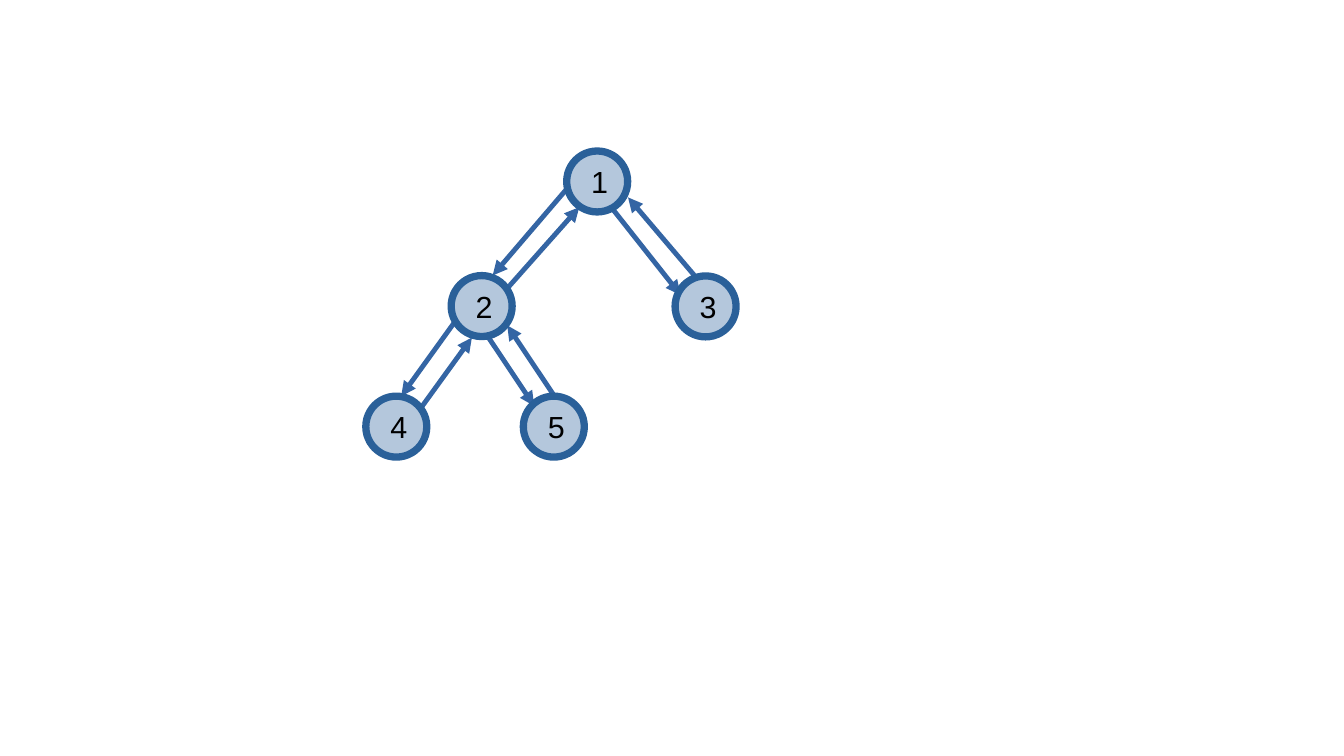
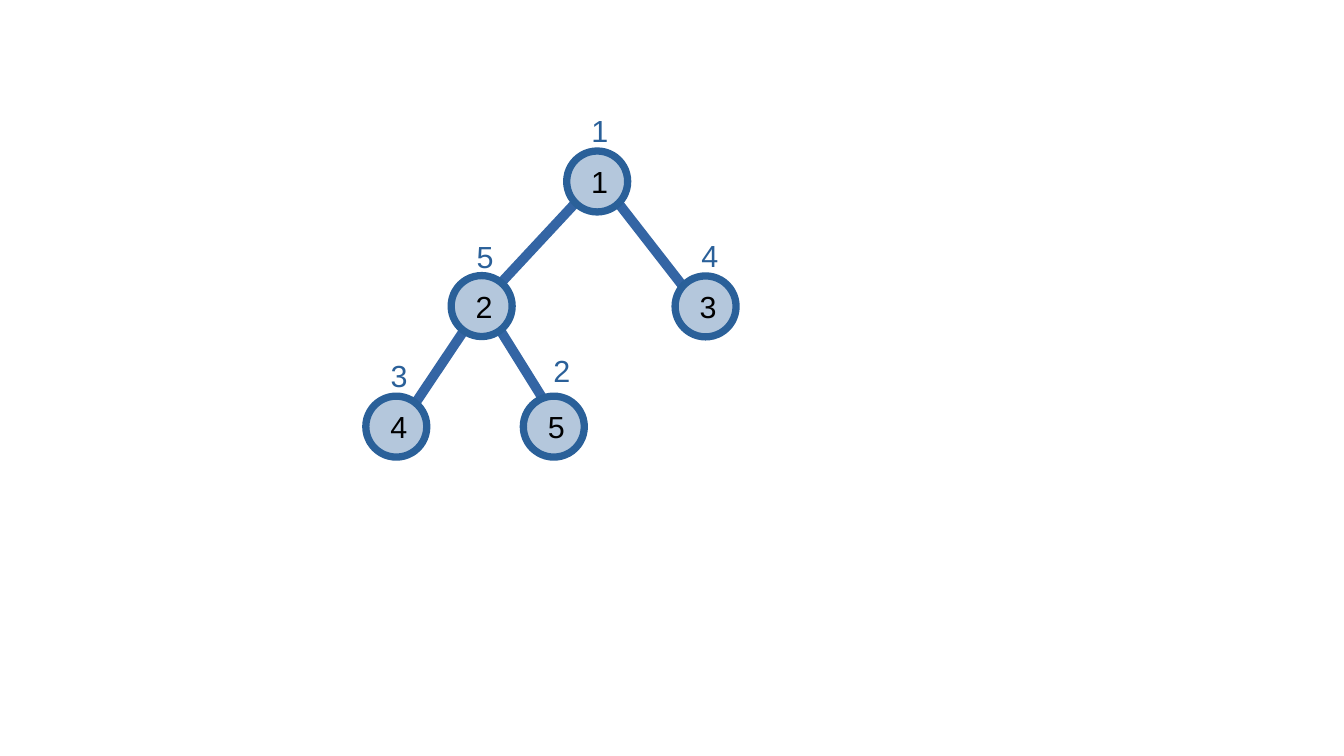
from dataclasses import dataclass

from lxml import etree
from pptx import Presentation
from pptx.dml.color import RGBColor
from pptx.enum.shapes import MSO_CONNECTOR, MSO_SHAPE
from pptx.enum.text import MSO_ANCHOR, MSO_AUTO_SIZE, PP_ALIGN
from pptx.oxml.ns import qn
from pptx.util import Pt

STRAIGHT = MSO_CONNECTOR.STRAIGHT
OVAL = MSO_SHAPE.OVAL
MIDDLE = MSO_ANCHOR.MIDDLE
CENTER = PP_ALIGN.CENTER
GROW = MSO_AUTO_SIZE.SHAPE_TO_FIT_TEXT


@dataclass(frozen=True)
class Theme:
    font: str = "Arial"
    size: float = 18
    ink: RGBColor = RGBColor.from_string("000000")
    node_fill: RGBColor = RGBColor.from_string("B4C7DC")
    node_line: RGBColor = RGBColor.from_string("2A6099")
    edge: RGBColor = RGBColor.from_string("3465A4")
    node_width: float = 4.31
    arrow_width: float = 2.89
    edge_width: float = 5.75


THEME = Theme()
SLIDE_W, SLIDE_H = 793.5, 446.5
NODE = 36
LABEL_W, LABEL_H = 18, 27.4
LABEL_DX, LABEL_DY = 7.5, -26

# Node text: left, top and the point where its edges meet
NODES = {
    "4": ((216, 234), (234, 254.9)),
    "1": ((334.6, 89.2), (353.5, 105.1)),
    "2": ((266.4, 162.8), (285.1, 178.6)),
    "5": ((309, 234), (332.6, 254.9)),
    "3": ((398.6, 163), (414, 182.9)),
}
EDGES = [("1", "3"), ("1", "2"), ("2", "4"), ("2", "5")]

# Steps of the walk, down and up each edge: start, end
STEPS = [
    ((432, 188.6), (370.8, 116.6)),
    ((344.9, 102.2), (401.8, 174.2)),
    ((335.5, 246.2), (299.5, 192.2)),
    ((279.4, 185.8), (315.4, 239.8)),
    ((236.9, 257), (278.6, 199.4)),
    ((275.8, 180), (236.9, 234)),
    ((290.9, 180), (342, 122.4)),
    ((337.7, 108), (290.9, 162.7)),
]

# Order label above each node, with a nudge
LABELS = {
    "1": ("1", 0, 0),
    "3": ("4", 0.9, 0),
    "4": ("3", 0, 0),
    "2": ("5", 0.4, 0.6),
    "5": ("2", 3.2, -2.8),
}


def add_line(slide, start, end, width, arrow=False):
    sp = slide.shapes.add_connector(STRAIGHT, *map(Pt, start + end))
    sp.line.color.rgb = THEME.edge
    sp.line.width = Pt(width)
    if arrow:
        etree.SubElement(sp.line._get_or_add_ln(), qn("a:tailEnd"), type="triangle")
    etree.SubElement(sp._element.spPr, qn("a:effectLst"))


def set_text(sp, text, color, inset_x, inset_y):
    tf = sp.text_frame
    tf.word_wrap = True
    tf.vertical_anchor = MIDDLE
    tf.margin_left = tf.margin_right = Pt(inset_x)
    tf.margin_top = tf.margin_bottom = Pt(inset_y)
    p = tf.paragraphs[0]
    p.text = text
    p.alignment = CENTER
    p.font.name = THEME.font
    p.font.size = Pt(THEME.size)
    p.font.color.rgb = color


def add_nodes(slide):
    for text, ((x, y), _) in NODES.items():
        sp = slide.shapes.add_shape(OVAL, Pt(x), Pt(y), Pt(NODE), Pt(NODE))
        sp.shadow.inherit = False
        sp.fill.solid()
        sp.fill.fore_color.rgb = THEME.node_fill
        sp.line.color.rgb = THEME.node_line
        sp.line.width = Pt(THEME.node_width)
        set_text(sp, text, THEME.ink, 9.2, 5.7)


def add_labels(slide):
    for node, (text, dx, dy) in LABELS.items():
        x, y = NODES[node][0]
        sp = slide.shapes.add_textbox(Pt(x + LABEL_DX + dx), Pt(y + LABEL_DY + dy),
                                      Pt(LABEL_W), Pt(LABEL_H))
        set_text(sp, text, THEME.node_line, 7.2, 3.6)
        sp.text_frame.auto_size = GROW


def main():
    prs = Presentation()
    prs.slide_width, prs.slide_height = Pt(SLIDE_W), Pt(SLIDE_H)
    blank = prs.slide_layouts[6]

    # Walk around the tree
    slide = prs.slides.add_slide(blank)
    for start, end in STEPS:
        add_line(slide, start, end, THEME.arrow_width, arrow=True)
    add_nodes(slide)

    # Tree with order labels
    slide = prs.slides.add_slide(blank)
    for parent, child in EDGES:
        add_line(slide, NODES[parent][1], NODES[child][1], THEME.edge_width)
    add_nodes(slide)
    add_labels(slide)

    prs.save("out.pptx")


if __name__ == "__main__":
    main()
